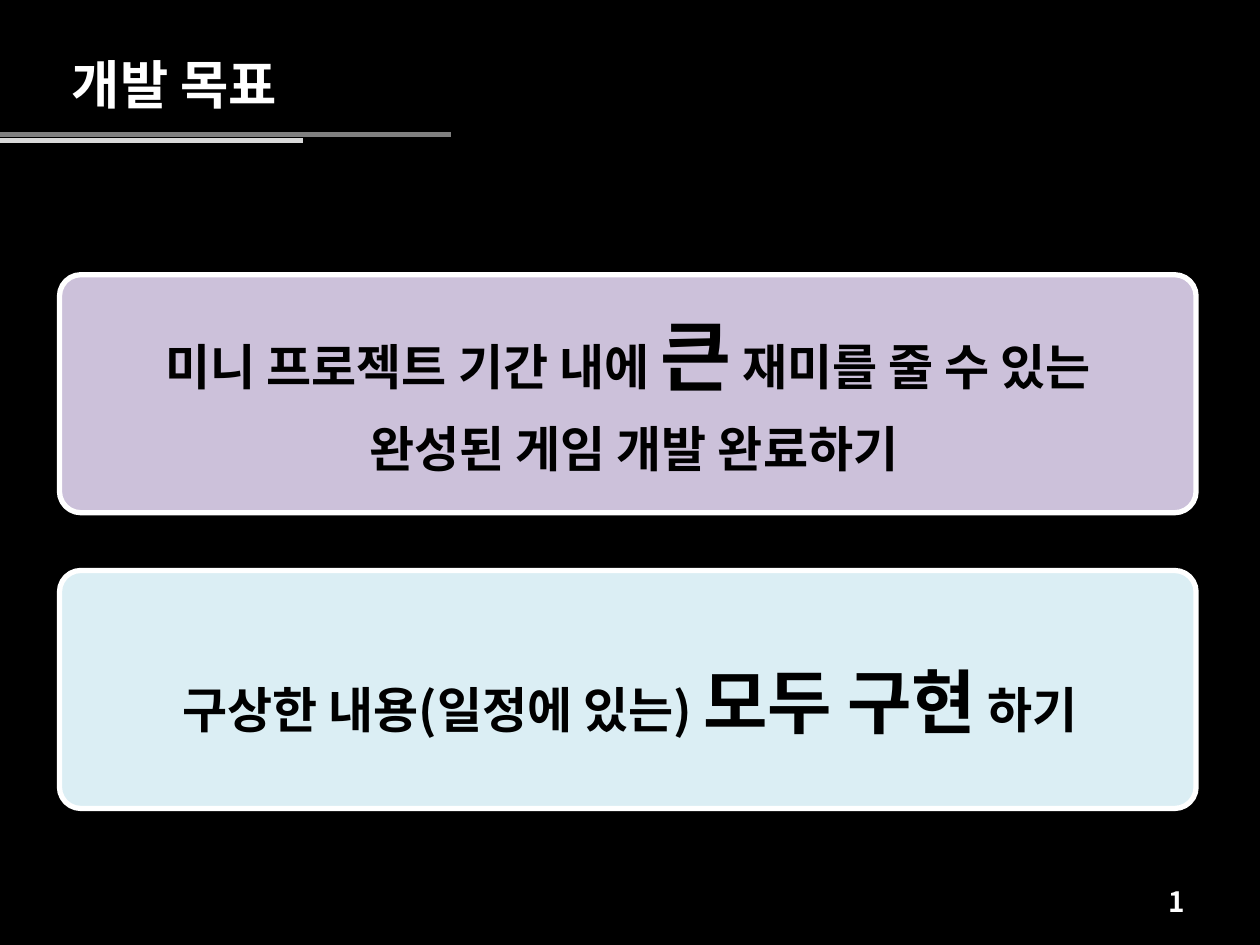
"""Build the development goals slide."""
import lxml.etree
import pptx
import pptx.dml.color
import pptx.enum.shapes
import pptx.enum.text
import pptx.oxml.ns
import pptx.util

Pt = pptx.util.Pt
RGB = pptx.dml.color.RGBColor
Align = pptx.enum.text.PP_ALIGN
Anchor = pptx.enum.text.MSO_ANCHOR
Shape = pptx.enum.shapes.MSO_SHAPE
Link = pptx.enum.shapes.MSO_CONNECTOR
qn = pptx.oxml.ns.qn

BLACK = RGB(0x00, 0x00, 0x00)
WHITE = RGB(0xFF, 0xFF, 0xFF)
GREY = RGB(0x80, 0x80, 0x80)
SILVER = RGB(0xD9, 0xD9, 0xD9)
LILAC = RGB(0xCC, 0xC1, 0xDA)
AQUA = RGB(0xDB, 0xEE, 0xF4)


class Page:
    face = "Noto Sans CJK KR"
    width = 3

    def __init__(self, slide):
        self.slide = slide

    def area(self, kind, box, fill, edge=None):
        shape = self.slide.shapes.add_shape(kind, *map(Pt, box))
        shape.shadow.inherit = False
        shape.fill.solid()
        shape.fill.fore_color.rgb = fill
        if edge is None:
            shape.line.fill.background()
        else:
            shape.line.color.rgb = edge
            shape.line.width = Pt(self.width)
        return shape

    def panel(self, box, fill):
        self.area(Shape.ROUNDED_RECTANGLE, box, fill, WHITE).adjustments[0] = 0.09

    def rule(self, top, length, color):
        line = self.slide.shapes.add_connector(
            Link.STRAIGHT, 0, Pt(top), Pt(length), Pt(top))
        line.line.color.rgb = color
        line.line.width = Pt(self.width)
        props = line.element.find(qn("p:spPr"))
        lxml.etree.SubElement(props, qn("a:effectLst"))

    def text(self, box, lines, size, color, align=Align.LEFT,
             space=1.0, anchor=Anchor.TOP, wrap=False):
        frame = self.slide.shapes.add_textbox(*map(Pt, box)).text_frame
        frame.word_wrap = wrap
        frame.vertical_anchor = anchor
        for index, parts in enumerate(lines):
            para = frame.add_paragraph() if index else frame.paragraphs[0]
            para.alignment = align
            para.line_spacing = space
            self.style(para.font, size, color)
            for words, large in parts:
                run = para.add_run()
                run.text = words
                if large:
                    run.font.size = Pt(large)

    def style(self, font, size, color):
        font.size = Pt(size)
        font.bold = True
        font.color.rgb = color
        font.name = self.face
        east = lxml.etree.SubElement(font._element, qn("a:ea"))
        east.set("typeface", self.face)


def main():
    deck = pptx.Presentation()
    deck.slide_width, deck.slide_height = Pt(720), Pt(540)
    page = Page(deck.slides.add_slide(deck.slide_layouts[6]))

    page.area(Shape.RECTANGLE, (0, 0, 720, 540), BLACK)
    page.text((516, 500.5, 168, 28.75), [[("1", None)]], 16, WHITE,
              Align.RIGHT, anchor=Anchor.MIDDLE, wrap=True)
    page.text((34, 26, 146, 44), [[("개발 목표", None)]], 30, WHITE)
    page.rule(77, 258, GREY)
    page.rule(80.5, 173, SILVER)

    goals = [
        (157, LILAC, (49.5, 157, 619, 121), [
            [("미니 프로젝트 기간 내에 ", None), ("큰", 44),
             (" 재미를 줄 수 있는", None)],
            [(" 완성된 게임 개발 완료하기", None)]]),
        (326, AQUA, (65, 358.5, 590, 70.5), [
            [("구상한 내용(일정에 있는) ", None), ("모두 구현", 40),
             (" 하기", None)]]),
    ]
    for top, fill, box, lines in goals:
        page.panel((34, top, 649.5, 136), fill)
        page.text(box, lines, 28, BLACK, Align.CENTER, 1.3)

    deck.save("out.pptx")


if __name__ == "__main__":
    main()
